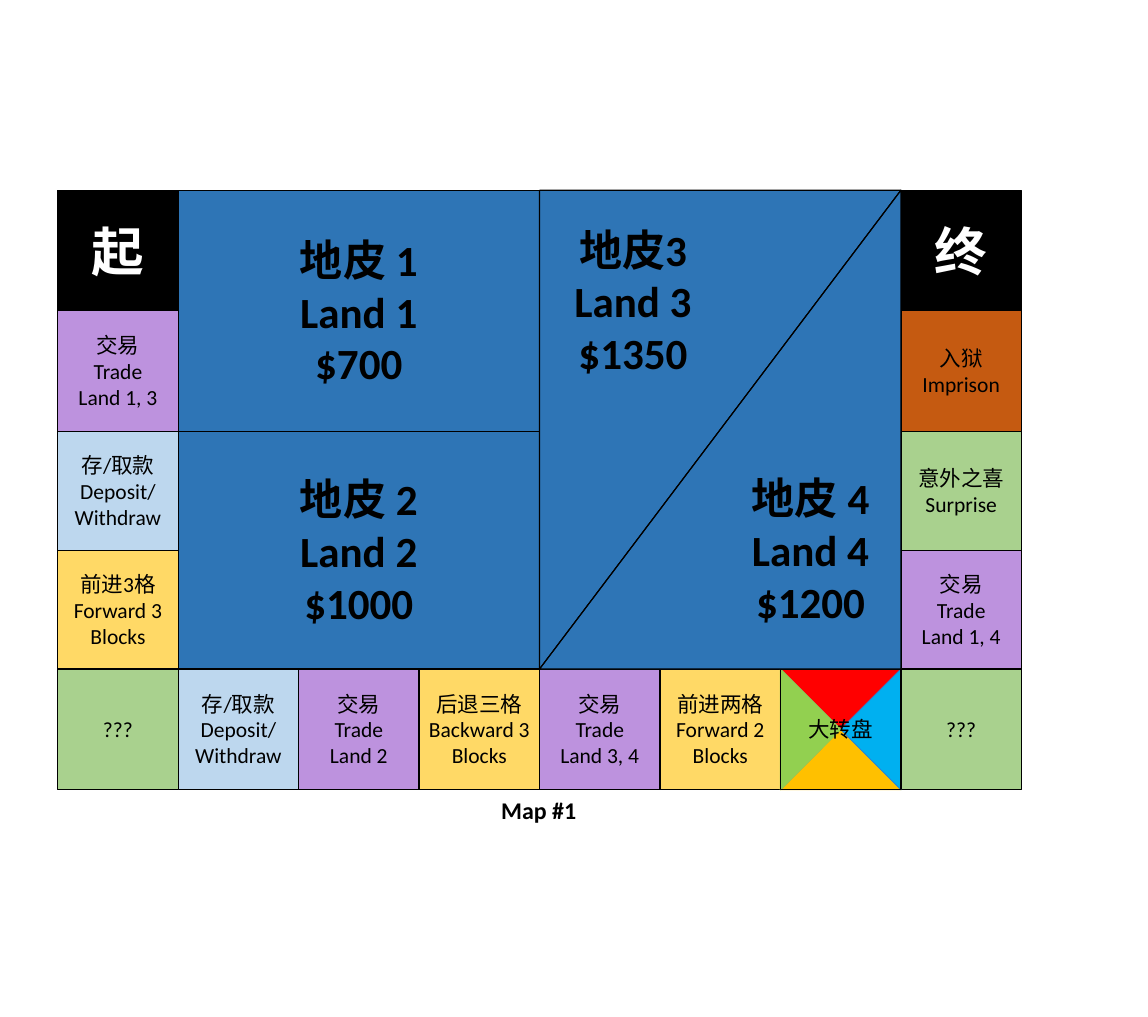
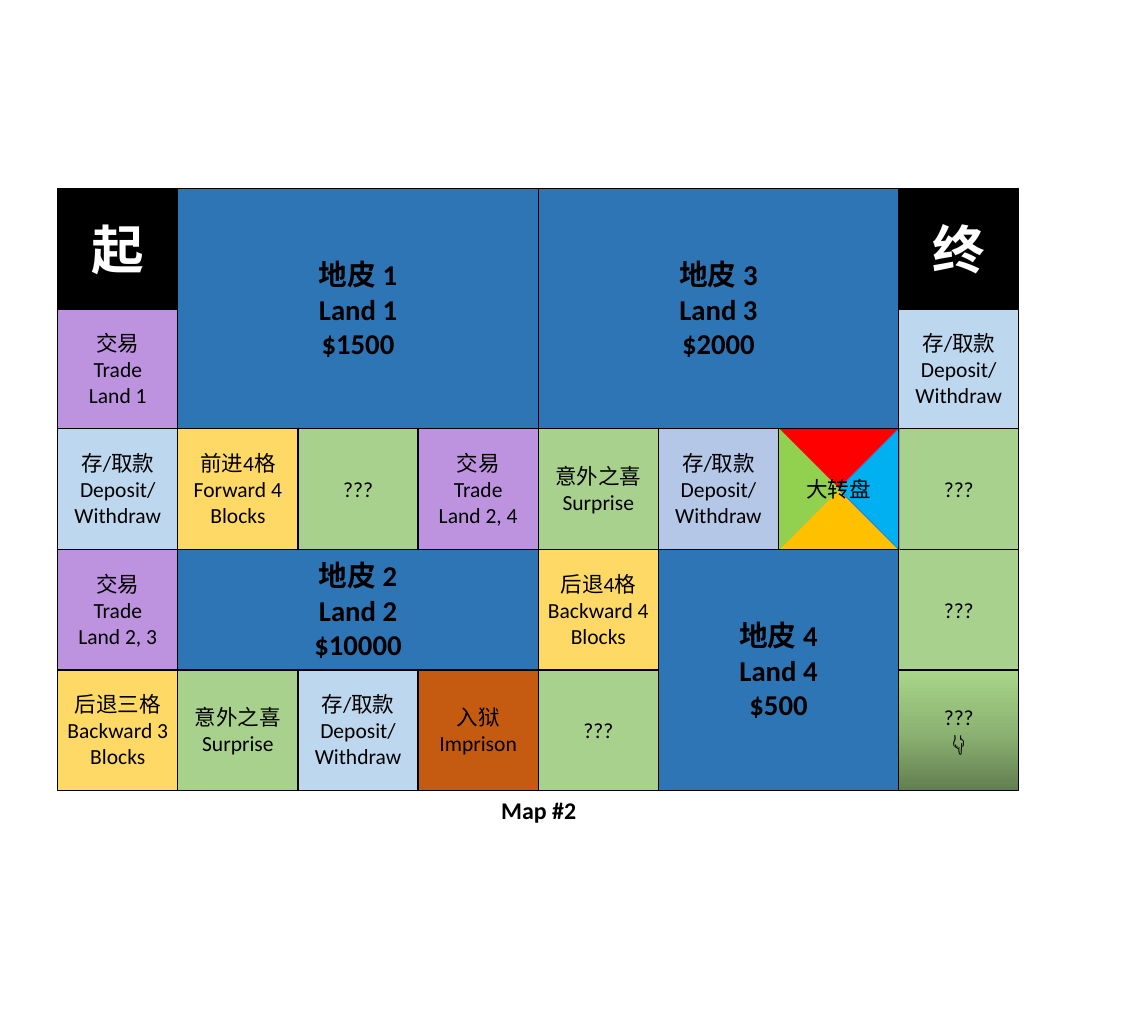
from copy import deepcopy
from dataclasses import dataclass

from pptx import Presentation
from pptx.dml.color import RGBColor
from pptx.enum.shapes import MSO_CONNECTOR, MSO_SHAPE
from pptx.enum.text import MSO_ANCHOR, PP_ALIGN
from pptx.oxml.ns import qn
from pptx.util import Inches, Pt

RECT, TRIANGLE = MSO_SHAPE.RECTANGLE, MSO_SHAPE.ISOSCELES_TRIANGLE
STRAIGHT = MSO_CONNECTOR.STRAIGHT
TOP, MIDDLE, CENTER = MSO_ANCHOR.TOP, MSO_ANCHOR.MIDDLE, PP_ALIGN.CENTER

FONT = "Calibri"
BLACK, WHITE = RGBColor(0, 0, 0), RGBColor(255, 255, 255)
PURPLE = RGBColor(0xBD, 0x92, 0xDE)
PALE_BLUE = RGBColor(0xBD, 0xD7, 0xEE)
PERIWINKLE = RGBColor(0xB4, 0xC7, 0xE7)
YELLOW = RGBColor(0xFF, 0xD9, 0x66)
GREEN = RGBColor(0xA9, 0xD1, 0x8E)
RUST = RGBColor(0xC5, 0x5A, 0x11)
LAND_BLUE = RGBColor(0x2E, 0x75, 0xB6)
SPOKE_BLUE = RGBColor(0x44, 0x72, 0xC4)
RED = RGBColor(0xFF, 0, 0)
AMBER = RGBColor(0xFF, 0xC0, 0)
SKY = RGBColor(0, 0xB0, 0xF0)
LIME = RGBColor(0x92, 0xD0, 0x50)
SHADE = [(0, RGBColor(0x63, 0x7F, 0x51)), (0.5, RGBColor(0x8D, 0xB4, 0x73)),
         (1, RGBColor(0xA8, 0xD6, 0x89))]

LEFT, COLUMNS, CELL = 0.67, 8, 1.4
START, END = "起", "终"
BANK = "存/取款\nDeposit/\nWithdraw"
SURPRISE = "意外之喜\nSurprise"
PRISON = "入狱\nImprison"
BACK_THREE = "后退三格\nBackward 3 Blocks"
MYSTERY = "???"


@dataclass
class Board:
    """Slide with the right edge and row edges of its grid."""
    s: object
    right: float
    rows: tuple

    def x(self, col):
        """Return the left edge of a column."""
        return LEFT + col * (self.right - LEFT) / COLUMNS

    def box(self, col, row, cols=1, rows=1):
        """Return left, top, width and height of a block of cells."""
        x, y = self.x(col), self.rows[row]
        return x, y, self.x(col + cols) - x, self.rows[row + rows] - y


def write(tf, text, size=18, bold=False, color=BLACK, anchor=MIDDLE):
    """Fill a text frame with one centred paragraph per line."""
    tf.word_wrap = True
    tf.vertical_anchor = anchor
    for i, line in enumerate(text.split("\n")):
        p = tf.paragraphs[0] if i == 0 else tf.add_paragraph()
        p.alignment = CENTER
        r = p.add_run()
        r.text = line
        r.font.name, r.font.size, r.font.bold = FONT, Pt(size), bold
        r.font.color.rgb = color


def add_block(s, kind, box, fill=None, line=BLACK, rotation=0):
    """Add an outlined preset shape."""
    sp = s.shapes.add_shape(kind, *map(Inches, box))
    sp.shadow.inherit = False
    sp.rotation = rotation
    if fill is None:
        sp.fill.background()
    else:
        sp.fill.solid()
        sp.fill.fore_color.rgb = fill
    sp.line.color.rgb = line
    sp.line.width = Pt(1)
    return sp


def add_line(s, x1, y1, x2, y2, color, width):
    """Add a straight line without shadow."""
    cx = s.shapes.add_connector(STRAIGHT, *map(Inches, (x1, y1, x2, y2)))
    cx.line.color.rgb = color
    cx.line.width = Pt(width)
    sp_pr = cx._element.spPr
    sp_pr.append(sp_pr.makeelement(qn("a:effectLst"), {}))


def add_cell(board, col, row, text, fill, **fmt):
    """Add one square of the path."""
    sp = add_block(board.s, RECT, board.box(col, row), fill)
    write(sp.text_frame, text, **fmt)
    return sp


def add_ends(board):
    """Add the start and end squares."""
    for col, text in ((0, START), (COLUMNS - 1, END)):
        add_cell(board, col, 0, text, BLACK, size=44, bold=True, color=WHITE)


def add_land(board, box, number, price, size, kind=RECT):
    """Add a plot of land with its name and price."""
    sp = add_block(board.s, kind, box, LAND_BLUE)
    write(sp.text_frame, f"地皮 {number}\nLand {number}\n{price}", size=size, bold=True)
    return sp


def add_wheel(board, col, row):
    """Add the four-coloured wheel square."""
    s, (x, y, w, h) = board.s, board.box(col, row)
    half, quarter = CELL / 2, CELL / 4

    def sector(dx, dy, rotation, color):
        """Add one coloured quarter."""
        add_block(s, TRIANGLE, (x + dx, y + dy, CELL, half), color, color, rotation)

    sector(0, 0, 180, RED)
    sector(0, half, 0, AMBER)
    sector(quarter, quarter, 270, SKY)
    for x1, x2 in ((x + w, x), (x, x + w)):
        add_line(s, x1, y, x2, y + h, SPOKE_BLUE, 0.5)
    sector(-quarter, quarter, 90, LIME)
    add_cell(board, col, row, "大转盘", None)


def shade(sp, stops):
    """Give a shape an upward gradient."""
    sp.fill.gradient()
    sp.fill.gradient_angle = 90
    gs_list = sp._element.spPr.find(".//" + qn("a:gsLst"))
    gs_list.insert(1, deepcopy(gs_list[0]))
    for stop, (position, color) in zip(sp.fill.gradient_stops, stops):
        stop.position = position
        stop.color.rgb = color


def trade(lands):
    """Return the wording of a trade square."""
    return f"交易\nTrade\nLand {lands}"


def add_board(prs, title, right, rows):
    """Add a slide with its caption and return its board."""
    s = prs.slides.add_slide(prs.slide_layouts[5])
    sp = s.shapes.title
    sp.left, sp.top, sp.width, sp.height = map(Inches, (LEFT, 9.19, 11.17, 0.44))
    write(sp.text_frame, title, size=20, bold=True, anchor=TOP)
    return Board(s, right, rows)


def build_first_map(prs):
    """Build the map with the diagonal plots."""
    board = add_board(prs, "Map #1", 11.86, (2.21, 3.61, 5.01, 6.39, 7.77, 9.17))
    add_ends(board)
    for cell in (
        (0, 1, trade("1, 3"), PURPLE),
        (0, 2, BANK, PALE_BLUE),
        (0, 3, "前进3格\nForward 3 Blocks", YELLOW),
        (0, 4, MYSTERY, GREEN),
        (1, 4, BANK, PALE_BLUE),
        (2, 4, trade("2"), PURPLE),
        (3, 4, BACK_THREE, YELLOW),
        (4, 4, trade("3, 4"), PURPLE),
        (5, 4, "前进两格\nForward 2 Blocks", YELLOW),
        (7, 4, MYSTERY, GREEN),
        (7, 3, trade("1, 4"), PURPLE),
        (7, 2, SURPRISE, GREEN),
        (7, 1, PRISON, RUST),
    ):
        add_cell(board, *cell)
    add_wheel(board, 6, 4)
    add_land(board, board.box(1, 0, 3, 2), 1, "$700", 36)
    add_land(board, board.box(1, 2, 3, 2), 2, "$1000", 36)
    x, y, w, h = board.box(4, 0, 3, 4)
    upper = add_block(board.s, TRIANGLE, (x, y, w, h), LAND_BLUE, rotation=180)
    lower = add_land(board, (x, y, w, h), 4, "$1200", 36, TRIANGLE)
    for sp in (upper, lower):
        sp.adjustments[0] = 1
    add_line(board.s, x + w, y, x, y + h, BLACK, 0.75)
    tb = board.s.shapes.add_textbox(*map(Inches, (6.49, 2.54, 1.72, 1.92)))
    write(tb.text_frame, "地皮3\nLand 3\n$1350", size=36, bold=True, anchor=TOP)


def build_second_map(prs):
    """Build the map with the path through the middle."""
    board = add_board(prs, "Map #2", 11.83, (2.19, 3.59, 4.98, 6.38, 7.78, 9.18))
    add_ends(board)
    for cell in (
        (0, 1, trade("1"), PURPLE),
        (0, 2, BANK, PALE_BLUE),
        (1, 2, "前进4格\nForward 4 Blocks", YELLOW),
        (2, 2, MYSTERY, GREEN),
        (3, 2, trade("2, 4"), PURPLE),
        (4, 2, SURPRISE, GREEN),
        (5, 2, BANK, PERIWINKLE),
        (0, 3, trade("2, 3"), PURPLE),
        (4, 3, "后退4格\nBackward 4 Blocks", YELLOW),
        (0, 4, BACK_THREE, YELLOW),
        (1, 4, SURPRISE, GREEN),
        (2, 4, BANK, PALE_BLUE),
        (3, 4, PRISON, RUST),
        (4, 4, MYSTERY, GREEN),
        (7, 1, BANK, PALE_BLUE),
        (7, 2, MYSTERY, GREEN),
        (7, 3, MYSTERY, GREEN),
    ):
        add_cell(board, *cell)
    shade(add_cell(board, 7, 4, "???\n👇", GREEN), SHADE)
    add_wheel(board, 6, 2)
    for number, price, block in (
        (1, "$1500", (1, 0, 3, 2)),
        (2, "$10000", (1, 3, 3, 1)),
        (3, "$2000", (4, 0, 3, 2)),
        (4, "$500", (5, 3, 2, 2)),
    ):
        add_land(board, board.box(*block), number, price, 24)


def main():
    """Build and save both maps."""
    prs = Presentation()
    prs.slide_width, prs.slide_height = Inches(13.33), Inches(11.81)
    build_first_map(prs)
    build_second_map(prs)
    prs.save("out.pptx")


main()
